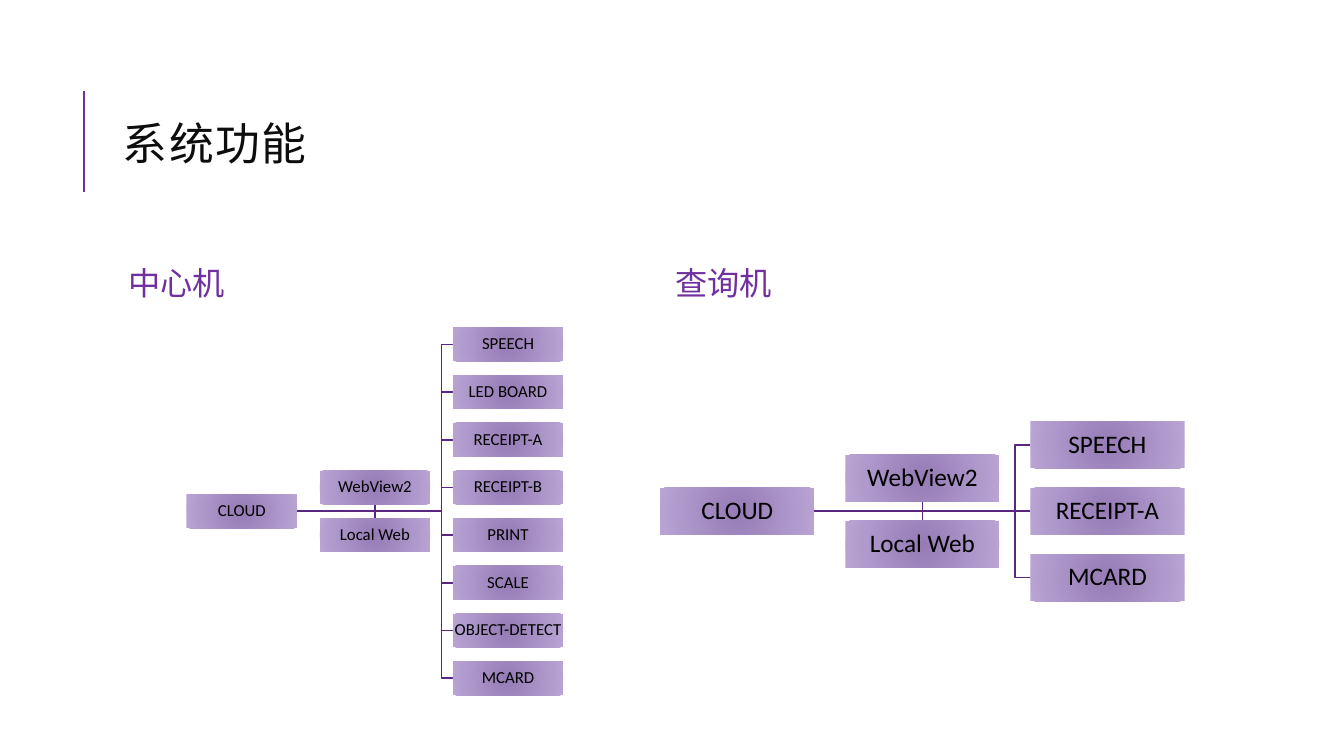
import pptx
import pptx.util
import pptx.dml.color
import pptx.enum.shapes
import pptx.enum.text
import pptx.oxml.ns
from lxml import etree

COLORS = {
    "accent": "7030A0",
    "wire": "5A2680",
    "box_center": "967BB5",
    "box_edge": "B9A4D4",
    "title": "0D0D0D",
    "label": "000000",
}
LATIN, CJK = "Calibri", "Noto Sans CJK SC"
COLUMNS, ROWS = 160, 90
TREE_MIDDLE = 60.87
# Tree proportions, as shares of the box width
BOX_HEIGHT, LEVEL_STEP, ROW_STEP, ELBOW = 0.305, 1.2, 0.43, 0.1

TREES = [
    {"heading": "中心机", "heading_left": 13.44, "left": 22.2, "box": 13.2, "size": 12,
     "leaves": ["SPEECH", "LED BOARD", "RECEIPT-A", "RECEIPT-B", "PRINT", "SCALE",
                "OBJECT-DETECT", "MCARD"]},
    {"heading": "查询机", "heading_left": 78.6, "left": 78.6, "box": 18.36, "size": 18,
     "leaves": ["SPEECH", "RECEIPT-A", "MCARD"]},
]


def rgb(name):
    return pptx.dml.color.RGBColor.from_string(COLORS[name])


def add_xml(parent, tag, **attributes):
    return etree.SubElement(parent, pptx.oxml.ns.qn(tag), attributes)


class SlideBuilder:
    """Draws on one slide; lengths are columns and rows of the grid."""

    def __init__(self, deck):
        self.unit_x = deck.slide_width / COLUMNS
        self.unit_y = deck.slide_height / ROWS
        self.slide = deck.slides.add_slide(deck.slide_layouts.get_by_name("Comparison"))
        self.holders = {holder.placeholder_format.idx: holder
                        for holder in self.slide.placeholders}
        for unused in (2, 4):
            element = self.holders.pop(unused).element
            element.getparent().remove(element)

    def x(self, columns):
        return round(columns * self.unit_x)

    def y(self, rows):
        return round(rows * self.unit_y)

    def set_text(self, shape, text, size, color, font=LATIN, spacing=0.9, align="LEFT"):
        frame = shape.text_frame
        frame.text = text
        frame.auto_size = pptx.enum.text.MSO_AUTO_SIZE.NONE
        frame.vertical_anchor = pptx.enum.text.MSO_ANCHOR.MIDDLE
        paragraph = frame.paragraphs[0]
        paragraph.alignment = pptx.enum.text.PP_ALIGN[align]
        paragraph.line_spacing = spacing
        paragraph.space_before = pptx.util.Pt(0)
        paragraph.font.size = pptx.util.Pt(size)
        paragraph.font.bold = False
        paragraph.font.name = font
        paragraph.font.color.rgb = rgb(color)
        return frame

    def place(self, shape, left, top, width, height):
        shape.left, shape.top = self.x(left), self.y(top)
        shape.width, shape.height = self.x(width), self.y(height)

    def title(self, text):
        holder = self.slide.shapes.title
        self.place(holder, 13.44, 7.68, 127.56, 19.68)
        frame = self.set_text(holder, text, 32, "title", CJK, 0.8)
        letters = frame.paragraphs[0].runs[0].font._element
        letters.set("spc", "100")
        add_xml(letters, "a:ea", typeface=CJK)

    def heading(self, index, text, left):
        holder = self.holders[index]
        self.place(holder, left, 28.56, 62.4, 10.8)
        frame = self.set_text(holder, text, 23, "accent")
        frame.margin_left = frame.margin_right = pptx.util.Inches(0.15)

    def line(self, shapes, start, end, color, weight):
        connector = shapes.add_connector(
            pptx.enum.shapes.MSO_CONNECTOR.STRAIGHT,
            self.x(start[0]), self.y(start[1]), self.x(end[0]), self.y(end[1]))
        connector.line.color.rgb = rgb(color)
        connector.line.width = pptx.util.Pt(weight)
        add_xml(connector._element.spPr, "a:effectLst")

    def wire(self, shapes, *points):
        """Joins two boxes, straight or with right-angled bends."""
        if len(points) == 2:
            self.line(shapes, *points, "wire", 1.25)
            return
        corners = [(self.x(column), self.y(row)) for column, row in points]
        builder = shapes.build_freeform(*corners[0])
        builder.add_line_segments(corners[1:], close=False)
        bend = builder.convert_to_shape()
        bend.shadow.inherit = False
        bend.fill.background()
        bend.line.color.rgb = rgb("wire")
        bend.line.width = pptx.util.Pt(1.25)

    def box(self, shapes, text, left, middle, width, size):
        height = width * BOX_HEIGHT
        box = shapes.add_shape(
            pptx.enum.shapes.MSO_SHAPE.RECTANGLE, self.x(left),
            self.y(middle - height / 2), self.x(width), self.y(height))
        box.shadow.inherit = False
        box.line.fill.background()
        box.fill.gradient()
        for stop, color in zip(box.fill.gradient_stops, ("box_center", "box_edge")):
            stop.color.rgb = rgb(color)
        gradient = box._element.spPr.find(pptx.oxml.ns.qn("a:gradFill"))
        gradient.remove(gradient.find(pptx.oxml.ns.qn("a:lin")))
        circle = add_xml(gradient, "a:path", path="circle")
        add_xml(circle, "a:fillToRect", **dict.fromkeys("ltrb", "100000"))
        frame = self.set_text(box, text, size, "label", align="CENTER")
        frame.word_wrap = False
        frame.margin_left = frame.margin_right = pptx.util.Inches(0.01)
        frame.margin_top = frame.margin_bottom = pptx.util.Inches(0.01)

    def tree(self, left, width, size, root, assistants, leaves):
        shapes = self.slide.shapes.add_group_shape().shapes
        middle, step = TREE_MIDDLE, width * ROW_STEP
        assistant_left = left + width * LEVEL_STEP
        leaf_left = left + 2 * width * LEVEL_STEP
        elbow = leaf_left - width * ELBOW
        start = (left + width, middle)
        boxes = [(root, left, middle)]
        for text, side in zip(assistants, (-1, 1)):
            row = middle + side * step / 2
            center = assistant_left + width / 2
            edge = row - side * width * BOX_HEIGHT / 2
            self.wire(shapes, start, (center, middle), (center, edge))
            boxes.append((text, assistant_left, row))
        for index, text in enumerate(leaves):
            offset = index - (len(leaves) - 1) / 2
            row = middle + offset * step
            bends = [(elbow, middle), (elbow, row)] if offset else []
            self.wire(shapes, start, *bends, (leaf_left, row))
            boxes.append((text, leaf_left, row))
        for text, box_left, row in boxes:
            self.box(shapes, text, box_left, row, width, size)


def main():
    deck = pptx.Presentation()
    deck.slide_width = pptx.util.Inches(13.33)
    deck.slide_height = pptx.util.Inches(7.5)
    builder = SlideBuilder(deck)
    builder.line(builder.slide.shapes, (10, 22.8), (10, 10.8), "accent", 1.5)
    builder.title("系统功能")
    for index, tree in zip((1, 3), TREES):
        builder.heading(index, tree["heading"], tree["heading_left"])
        builder.tree(tree["left"], tree["box"], tree["size"], "CLOUD",
                     ["WebView2", "Local Web"], tree["leaves"])
    deck.save("out.pptx")


if __name__ == "__main__":
    main()
